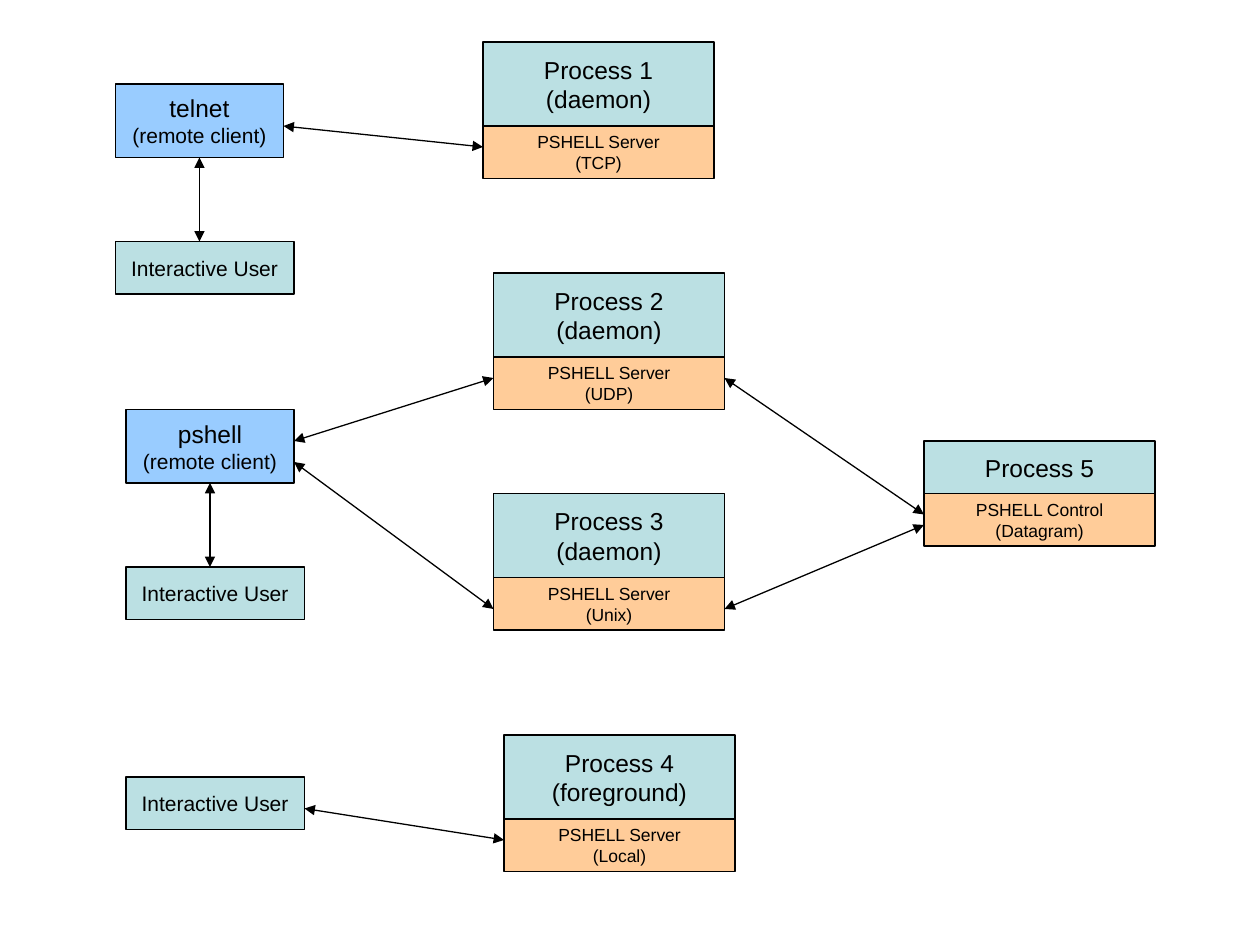
from lxml import etree
from pptx import Presentation
from pptx.dml.color import RGBColor
from pptx.enum import shapes, text
from pptx.oxml import ns
from pptx.util import Pt

BLACK = RGBColor(0x00, 0x00, 0x00)
TEAL = RGBColor(0xBB, 0xE0, 0xE3)
ORANGE = RGBColor(0xFF, 0xCC, 0x99)
BLUE = RGBColor(0x99, 0xCC, 0xFF)
BOTTOM = 2


class Diagram:
    font = "Arial"
    line_width = Pt(0.75)
    process_width = 132
    row_height = 30

    def __init__(self, slide):
        self.slide = slide

    def box(self, left, top, width, height, fill, lines, parent=None):
        owner = (parent or self.slide).shapes
        rect = owner.add_shape(shapes.MSO_SHAPE.RECTANGLE,
                               Pt(left), Pt(top), Pt(width), Pt(height))
        rect.shadow.inherit = False
        rect.fill.solid()
        rect.fill.fore_color.rgb = fill
        rect.line.color.rgb = BLACK
        rect.line.width = self.line_width
        frame = rect.text_frame
        frame.word_wrap = False
        frame.vertical_anchor = text.MSO_ANCHOR.MIDDLE
        for index, (wording, size) in enumerate(lines):
            paragraph = frame.add_paragraph() if index else frame.paragraphs[0]
            paragraph.alignment = text.PP_ALIGN.CENTER
            run = paragraph.add_run()
            run.text = wording
            run.font.name = self.font
            run.font.size = Pt(size)
            run.font.color.rgb = BLACK
        return rect

    def process(self, left, top, title, service):
        height = 48 if len(title) > 1 else self.row_height
        group = self.slide.shapes.add_group_shape()
        self.box(left, top, self.process_width, height, TEAL,
                 [(line, 14) for line in title], group)
        self.box(left, top + height, self.process_width, self.row_height, ORANGE,
                 [(line, 10) for line in service], group)

    def client(self, left, top, name):
        return self.box(left, top, 96, 42, BLUE, [(name, 14), ("(remote client)", 12)])

    def user(self, left, top):
        return self.box(left, top, 102, self.row_height, TEAL, [("Interactive User", 12)])

    def arrow(self, start, end, source=None):
        link = self.slide.shapes.add_connector(
            shapes.MSO_CONNECTOR.STRAIGHT, *(Pt(value) for value in start + end))
        if source is not None:
            link.begin_connect(source, BOTTOM)
        link.line.color.rgb = BLACK
        link.line.width = self.line_width
        outline = link.line._get_or_add_ln()
        for tip in ("a:headEnd", "a:tailEnd"):
            etree.SubElement(outline, ns.qn(tip), type="triangle")
        etree.SubElement(link._element.spPr, ns.qn("a:effectLst"))


def main():
    deck = Presentation()
    deck.slide_width, deck.slide_height = Pt(720), Pt(540)
    diagram = Diagram(deck.slides.add_slide(deck.slide_layouts[6]))

    diagram.user(72, 444)
    for left, top, title, service in (
        (276, 24, ("Process 1", "(daemon)"), ("PSHELL Server", "(TCP)")),
        (282, 156, ("Process 2", "(daemon)"), ("PSHELL Server", "(UDP)")),
        (282, 282, ("Process 3", "(daemon)"), ("PSHELL Server", "(Unix)")),
        (288, 420, ("Process 4", "(foreground)"), ("PSHELL Server", "(Local)")),
    ):
        diagram.process(left, top, title, service)
    pshell = diagram.client(72, 234, "pshell")
    telnet = diagram.client(66, 48, "telnet")
    diagram.user(72, 324)
    diagram.user(66, 138)
    diagram.process(528, 252, ("Process 5",), ("PSHELL Control", "(Datagram)"))

    diagram.arrow((114, 90), (114, 138), telnet)
    diagram.arrow((120, 276), (120, 324), pshell)
    for start, end in (
        ((288, 480), (174, 462)),
        ((162, 72), (276, 84)),
        ((282, 216), (168, 252)),
        ((282, 348), (168, 264)),
        ((528, 294), (414, 216)),
        ((528, 300), (414, 348)),
    ):
        diagram.arrow(start, end)

    deck.save("out.pptx")


if __name__ == "__main__":
    main()
